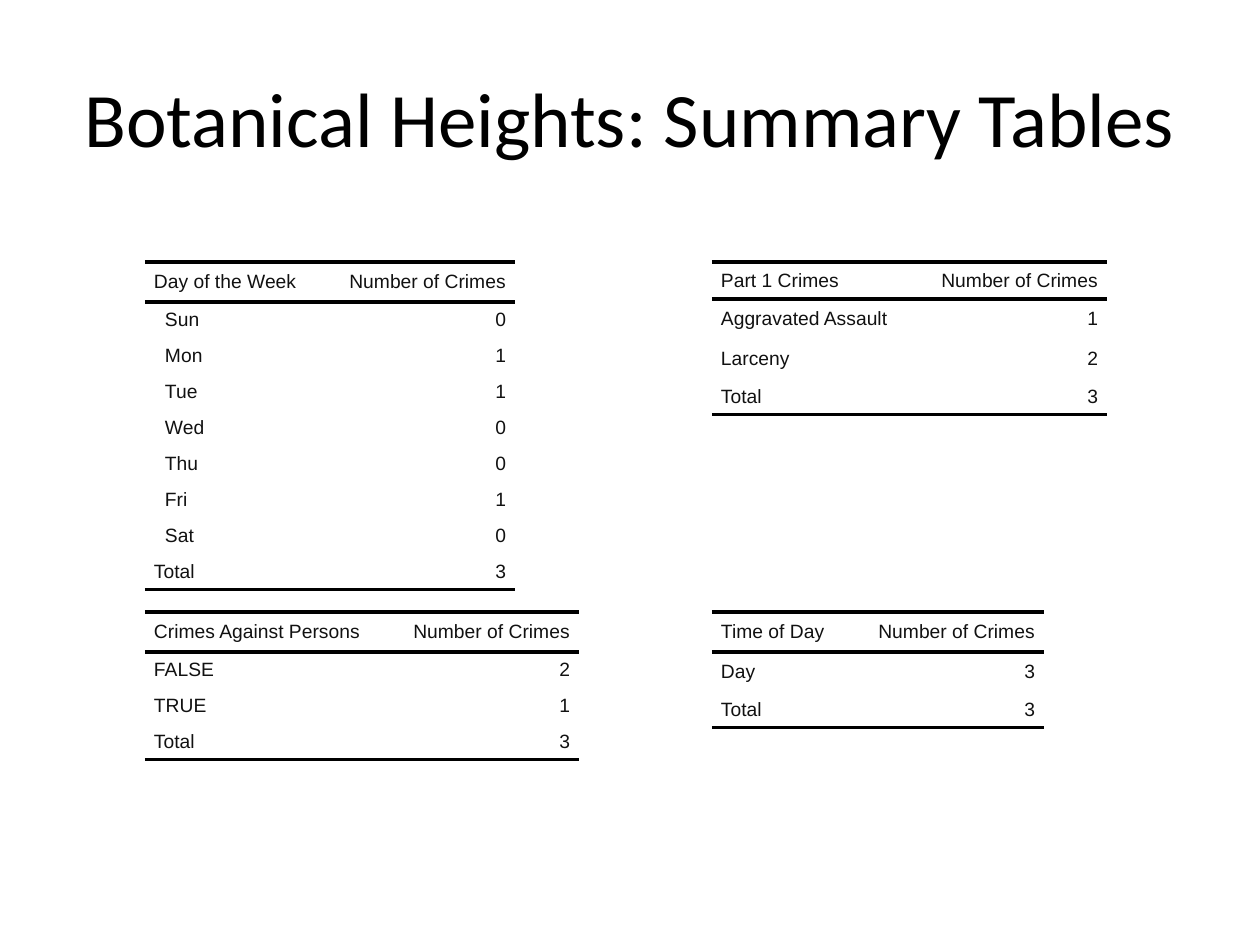
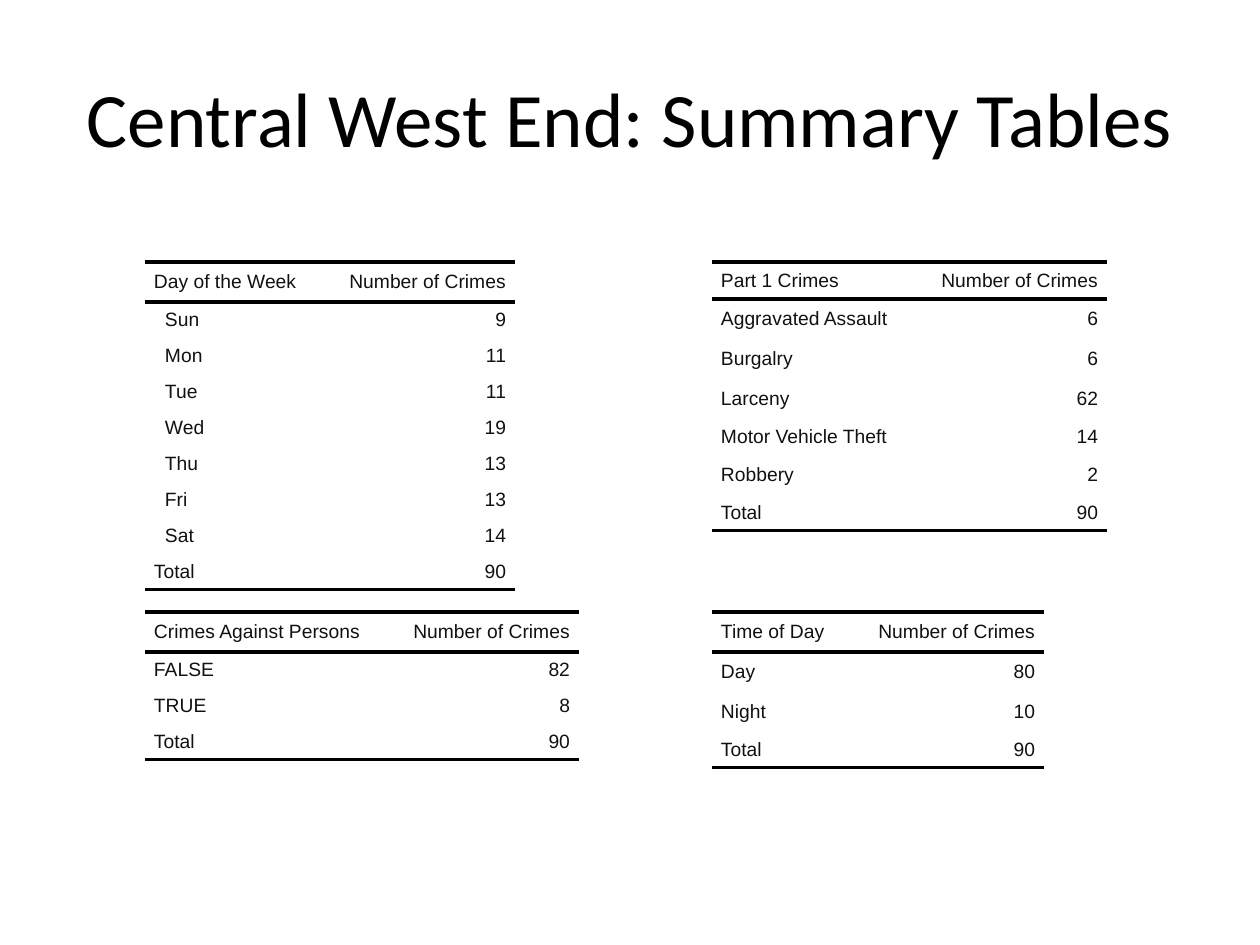
from pptx import Presentation
from pptx import util as u
from pptx.dml import color
from pptx.enum import text
from pptx.oxml import ns
from lxml import etree

PX = u.Inches(1) / 126
BLACK = color.RGBColor(0x00, 0x00, 0x00)
INK = color.RGBColor(0x11, 0x11, 0x11)
TITLE_FONT, TABLE_FONT = "Calibri", "Arial"
PLAIN_TABLE = "{2D5ABB26-0587-4C30-8999-92F81FD0307C}"

# Table grid, in px
LEFT, RIGHT, TOP, BOTTOM = 145, 712, 262, 612
COUNT_WIDTH = 192
LOW_ROW, HIGH_ROW = 36, 40
CELL_GAP, DAY_INDENT = 9, 11
LOW_LABELS = {"Motor Vehicle Theft"}

DAYS = ["Sun", "Mon", "Tue", "Wed", "Thu", "Fri", "Sat"]


def px(length):
    return u.Emu(round(length * PX))


class Deck:
    """The presentation, its style and the current page."""

    def __init__(self):
        self.deck = Presentation()
        self.deck.slide_width, self.deck.slide_height = px(1260), px(945)
        self.page = None

    def new_page(self):
        self.page = self.deck.slides.add_slide(self.deck.slide_layouts[6])

    def span(self, para, words, font, size, ink):
        span = para.add_run()
        span.text = words
        span.font.name, span.font.size = font, u.Pt(size)
        span.font.color.rgb = ink

    def title(self, words):
        box = self.page.shapes.add_textbox(px(63), px(38), px(1134), px(158))
        frame = box.text_frame
        frame.word_wrap = True
        frame.vertical_anchor = text.MSO_ANCHOR.MIDDLE
        para = frame.paragraphs[0]
        para.alignment = text.PP_ALIGN.CENTER
        self.span(para, words, TITLE_FONT, 44, BLACK)

    def cell(self, cell, words, align, indent, sides):
        cell.margin_left = cell.margin_right = 0
        cell.margin_top = cell.margin_bottom = 0
        cell.vertical_anchor = text.MSO_ANCHOR.MIDDLE
        para = cell.text_frame.paragraphs[0]
        para.alignment = align
        para.space_before = para.space_after = u.Pt(2)
        props = para._p.get_or_add_pPr()
        props.set("marL", str(px(CELL_GAP + indent)))
        props.set("marR", str(px(CELL_GAP)))
        self.span(para, words, TABLE_FONT, 11, INK)
        for side in sides:
            self.rule(cell, side)
        cell.fill.background()

    def rule(self, cell, side):
        props = cell._tc.get_or_add_tcPr()
        line = etree.SubElement(props, ns.qn("a:ln" + side), w=str(u.Pt(2)))
        fill = etree.SubElement(line, ns.qn("a:solidFill"))
        etree.SubElement(fill, ns.qn("a:srgbClr"), val=str(BLACK))

    def summary(self, left, top, label_width, heading, counts,
                head_height=HIGH_ROW, row_height=LOW_ROW, indent=0):
        """A table of counts with a heading row and a total row."""
        rows = [(heading, "Number of Crimes"), *counts.items(),
                ("Total", sum(counts.values()))]
        heights = [head_height]
        heights += [LOW_ROW if label in LOW_LABELS else row_height for label in counts]
        heights.append(LOW_ROW)
        widths = [label_width, COUNT_WIDTH]

        frame = self.page.shapes.add_table(len(rows), 2, px(left), px(top),
                                           px(sum(widths)), px(sum(heights)))
        for style in frame.element.iter(ns.qn("a:tableStyleId")):
            style.text = PLAIN_TABLE
        table = frame.table
        table.first_row = table.horz_banding = False
        for column, width in zip(table.columns, widths):
            column.width = px(width)

        last = len(rows) - 1
        for index, (label, count) in enumerate(rows):
            table.rows[index].height = px(heights[index])
            sides = {0: "TB", last: "B"}.get(index, "")
            label_indent = indent if 0 < index < last else 0
            self.cell(table.cell(index, 0), label, text.PP_ALIGN.LEFT, label_indent, sides)
            self.cell(table.cell(index, 1), str(count), text.PP_ALIGN.RIGHT, 0, sides)

    def area(self, name, part_1, by_day, against_persons, time_of_day):
        """One page with the four summary tables of an area."""
        self.new_page()
        self.title(f"{name}: Summary Tables")
        self.summary(RIGHT, TOP, 203, "Part 1 Crimes", part_1,
                     head_height=37, row_height=HIGH_ROW)
        self.summary(LEFT, TOP, 178, "Day of the Week", dict(zip(DAYS, by_day)),
                     indent=DAY_INDENT)
        self.summary(LEFT, BOTTOM, 242, "Crimes Against Persons",
                     dict(zip(["FALSE", "TRUE"], against_persons)))
        self.summary(RIGHT, BOTTOM, 140, "Time of Day", time_of_day,
                     row_height=HIGH_ROW)


def main():
    deck = Deck()

    # Botanical Heights
    deck.area("Botanical Heights",
              part_1={"Aggravated Assault": 1, "Larceny": 2},
              by_day=[0, 1, 1, 0, 0, 1, 0],
              against_persons=[2, 1],
              time_of_day={"Day": 3})

    # Central West End
    deck.area("Central West End",
              part_1={"Aggravated Assault": 6, "Burgalry": 6, "Larceny": 62,
                      "Motor Vehicle Theft": 14, "Robbery": 2},
              by_day=[9, 11, 11, 19, 13, 13, 14],
              against_persons=[82, 8],
              time_of_day={"Day": 80, "Night": 10})

    deck.deck.save("out.pptx")


if __name__ == "__main__":
    main()
